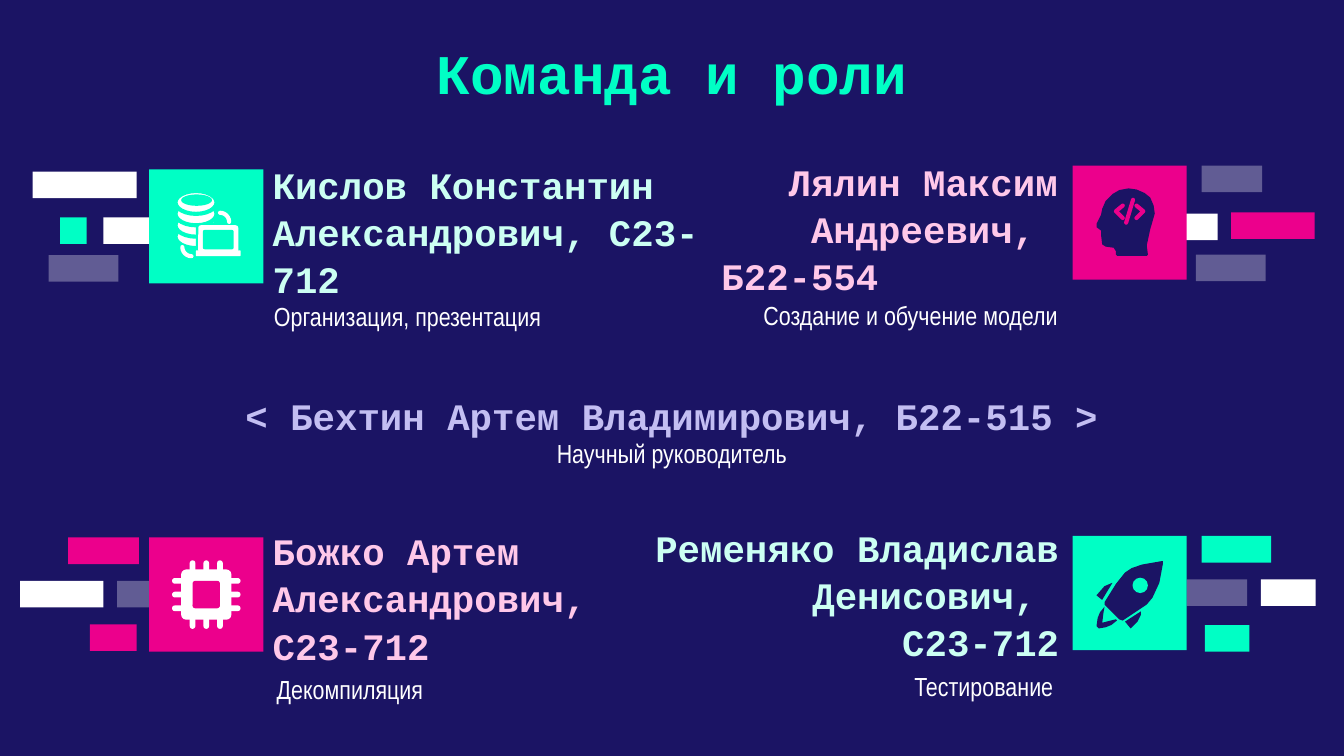
import math

import pptx
import pptx.dml.color
import pptx.enum.shapes
import pptx.enum.text
import pptx.oxml.ns
import pptx.util
from lxml import etree

WIDTH, HEIGHT = 10, 5.625
TILE, BAR_HEIGHT = 0.85, 23.3
NAVY, MINT, PINK, WHITE = "1B1464", "00FFC5", "EC008C", "FFFFFF"
PALE_MINT, PALE_PINK, LILAC = "CCFFF3", "FFC8E9", "C3BEF2"
NAME_FONT, ROLE_FONT = "Courier New", "Arial Narrow"
LEFT, CENTER, RIGHT = (getattr(pptx.enum.text.PP_ALIGN, side) for side in ("LEFT", "CENTER", "RIGHT"))
TOP, BOTTOM = pptx.enum.text.MSO_ANCHOR.TOP, pptx.enum.text.MSO_ANCHOR.BOTTOM
RECT = pptx.enum.shapes.MSO_SHAPE.RECTANGLE
ROUND = pptx.enum.shapes.MSO_SHAPE.ROUNDED_RECTANGLE
OVAL = pptx.enum.shapes.MSO_SHAPE.OVAL


def color(value):
    """Turn a hex string into a colour."""
    return pptx.dml.color.RGBColor.from_string(value)


def inches(box):
    """Turn a box in percent of the slide into inches."""
    left, top, width, height = box
    return left * WIDTH / 100, top * HEIGHT / 100, width * WIDTH / 100, height * HEIGHT / 100


def paint(shape, fill=None, outline=None, weight=2.2, opacity=100):
    """Give a shape its fill and outline, without a shadow."""
    shape.shadow.inherit = False
    if fill:
        shape.fill.solid()
        shape.fill.fore_color.rgb = color(fill)
        if opacity < 100:
            tint = shape.fill._xPr.find(".//" + pptx.oxml.ns.qn("a:srgbClr"))
            etree.SubElement(tint, pptx.oxml.ns.qn("a:alpha")).set("val", str(opacity * 1000))
    else:
        shape.fill.background()
    if outline:
        shape.line.color.rgb = color(outline)
        shape.line.width = pptx.util.Pt(weight)
        shape.line._get_or_add_ln().set("cap", "rnd")
    else:
        shape.line.fill.background()


def block(slide, tile, kind, box, fill, **style):
    """Place a preset shape whose box is in percent of the tile."""
    left, top = tile
    x, y, width, height = (share * TILE / 100 for share in box)
    shape = slide.shapes.add_shape(
        kind, *(pptx.util.Inches(v) for v in (left + x, top + y, width, height)))
    paint(shape, fill, **style)
    return shape


def outline(slide, tile, points, closed=True, **style):
    """Draw a freeform through points in percent of the tile."""
    spots = [tuple(pptx.util.Inches(start + share * TILE / 100) for start, share in zip(tile, point))
             for point in points]
    builder = slide.shapes.build_freeform(*spots[0])
    builder.add_line_segments(spots[1:], close=closed)
    paint(builder.convert_to_shape(), **style)


def database(slide, tile):
    """Draw a stack of disks with a laptop in front."""
    for top in (49, 39, 29, 19):
        block(slide, tile, OVAL, (23, top, 36, 20), WHITE, outline=MINT)
    block(slide, tile, OVAL, (28, 22, 27, 10), MINT)
    block(slide, tile, RECT, (41, 47, 38, 28), MINT)
    for box, fill in (((43, 49, 35, 24), WHITE), ((41, 71, 39, 5), WHITE), ((47, 53, 27, 17), MINT)):
        block(slide, tile, ROUND, box, fill).adjustments[0] = 0.1
    for center, start in (((62, 46), -90), ((37, 68), 90)):
        arc = [(center[0] + 8 * math.cos(math.radians(start + turn)),
                center[1] + 8 * math.sin(math.radians(start + turn))) for turn in range(0, 91, 15)]
        outline(slide, tile, arc, closed=False, outline=WHITE)


def coder(slide, tile):
    """Draw a head with a code sign inside."""
    head = [(49, 20), (41, 21.5), (35, 25), (29, 31), (26, 38), (25, 43), (21, 51), (21, 54), (25, 57),
            (25, 61), (26, 69), (29, 71), (36, 72), (38, 75), (38, 78), (39, 79), (65, 79), (66, 78),
            (65, 70), (68, 56), (72, 42), (71, 35), (68, 28), (63, 24), (56, 21)]
    outline(slide, tile, head, fill=NAVY)
    for stroke in ([(44, 35), (38, 40), (44, 46)], [(56, 35), (62, 40), (56, 46)], [(53, 30), (47, 50)]):
        outline(slide, tile, stroke, closed=False, outline=PINK)


def chip(slide, tile):
    """Draw a processor with three pins on each side."""
    for middle in (38, 50, 62):
        for pin in ((middle - 2.5, 20, 5, 60), (20, middle - 2.5, 60, 5)):
            block(slide, tile, ROUND, pin, WHITE).adjustments[0] = 0.5
    for edge, fill in ((28, WHITE), (38, PINK)):
        block(slide, tile, ROUND, (edge, edge, 100 - 2 * edge, 100 - 2 * edge), fill).adjustments[0] = 0.1


def rocket(slide, tile):
    """Draw a rising rocket with fins, flame and window."""
    body = [(78, 22), (61, 25), (52, 28), (46, 32), (38, 42), (28, 58), (28, 60), (41, 73), (44, 74),
            (59, 64), (65, 60), (70, 54), (76, 41), (79, 25), (79, 22)]
    fins = [(35, 41), (28, 44), (21, 52), (26, 56)], [(60, 66), (46, 75), (51, 81), (57, 75), (60, 69)]
    flame = [(28, 62), (24, 67), (22, 72), (21, 79), (23, 81), (29, 80), (34, 78), (39, 74), (38, 73),
             (34, 74), (26, 76), (27, 68)]
    for part in (body, *fins, flame):
        outline(slide, tile, part, fill=NAVY)
    block(slide, tile, OVAL, (52.5, 36.5, 13.5, 13.5), MINT)


def write(slide, box, lines, align, anchor=TOP, insets=(0.1, 0, 0.1, 0)):
    """Write lines of (text, font, size, colour, indent) in a box."""
    frame = slide.shapes.add_textbox(*(pptx.util.Inches(v) for v in inches(box))).text_frame
    frame.word_wrap = True
    frame.vertical_anchor = anchor
    frame.margin_left, frame.margin_top, frame.margin_right, frame.margin_bottom = (
        pptx.util.Inches(inset) for inset in insets)
    for index, (text, font, size, ink, indent) in enumerate(lines):
        paragraph = frame.paragraphs[0] if index == 0 else frame.add_paragraph()
        paragraph.alignment = LEFT if indent else align
        if indent:
            paragraph._p.get_or_add_pPr().set("marL", str(pptx.util.Inches(indent)))
        if font == NAME_FONT:
            paragraph.line_spacing = 1.05
        run = paragraph.add_run()
        run.text = text
        run.font.name, run.font.size = font, pptx.util.Pt(size)
        run.font.bold = font == NAME_FONT
        run.font.color.rgb = color(ink)


def heading(slide, box):
    """Write the slide's title."""
    write(slide, box, [("Команда и роли", NAME_FONT, 30, MINT, 0)], CENTER, BOTTOM, (0.1,) * 4)


def supervisor(slide, box):
    """Write the supervisor's name and role."""
    write(slide, box, [("< Бехтин Артем Владимирович, Б22-515 >", NAME_FONT, 20, LILAC, 0),
                       ("Научный руководитель", ROLE_FONT, 14, WHITE, 0)],
          CENTER, insets=(0.1, 0.05, 0.1, 0.05))


def member(slide, corner, accent, icon, bars, name_box, name, ink, role_box, role, align):
    """Place one member's bars, icon tile, name and role."""
    tile = inches((*corner, 0, 0))[:2]
    for x, y, width, fill, opacity in bars:
        block(slide, tile, RECT, (x, y, width, BAR_HEIGHT), fill, opacity=opacity)
    block(slide, tile, RECT, (0, 0, 100, 100), accent)
    icon(slide, tile)
    write(slide, name_box, [(text, NAME_FONT, 20, ink, indent) for text, indent in name], align, BOTTOM)
    write(slide, role_box, [(role, ROLE_FONT, 14, WHITE, 0)], align, insets=(0.1, 0, 0.1, 0.1))


def main():
    """Build the team slide."""
    deck = pptx.Presentation()
    deck.slide_width, deck.slide_height = pptx.util.Inches(WIDTH), pptx.util.Inches(HEIGHT)
    slide = deck.slides.add_slide(deck.slide_layouts[6])
    slide.background.fill.solid()
    slide.background.fill.fore_color.rgb = color(NAVY)
    heading(slide, (29.9, 2.8, 40.2, 13))
    mint, pink, white, haze = (MINT, 100), (PINK, 100), (WHITE, 100), (WHITE, 31)
    member(slide, (11.1, 22.4), MINT, database,
           [(-102, 2, 91, *white), (-78, 42, 23.3, *mint), (-40, 42, 41, *white), (-88, 75, 61, *haze)],
           (19.3, 32.9, 34.5, 6.9), [("Кислов Константин Александрович, С23-712", 0)], PALE_MINT,
           (19.4, 39.8, 25.2, 8), "Организация, презентация", LEFT)
    member(slide, (79.8, 21.9), PINK, coder,
           [(113, 0, 53, *haze), (99, 42, 28, *white), (139, 41, 73, *pink), (108, 78, 61, *haze)],
           (44.6, 32.5, 35.1, 6.9), [("Лялин Максим Андреевич, ", 0), ("Б22-554", 0.81)], PALE_PINK,
           (53.1, 39.6, 26.6, 8), "Создание и обучение модели", RIGHT)
    member(slide, (11.1, 71.1), PINK, chip,
           [(-71, 0, 62, *pink), (-113, 38, 73, *white), (-28, 38, 28, *haze), (-52, 76, 41, *pink)],
           (19.3, 81.4, 27.1, 6.9), [("Божко Артем Александрович, С23-712", 0)], PALE_PINK,
           (19.6, 89.1, 23.7, 8), "Декомпиляция", LEFT)
    member(slide, (79.8, 70.9), MINT, rocket,
           [(113, 0, 61, *mint), (100, 38, 53, *haze), (165, 38, 48, *white), (116, 78, 39, *mint)],
           (46.6, 80.9, 33.2, 6.9), [("Ременяко Владислав Денисович, ", 0), ("С23-712", 0)], PALE_MINT,
           (44.7, 88.7, 35.1, 8), "Тестирование ", RIGHT)
    supervisor(slide, (15.5, 50.8, 69, 11.9))
    deck.save("out.pptx")


if __name__ == "__main__":
    main()
